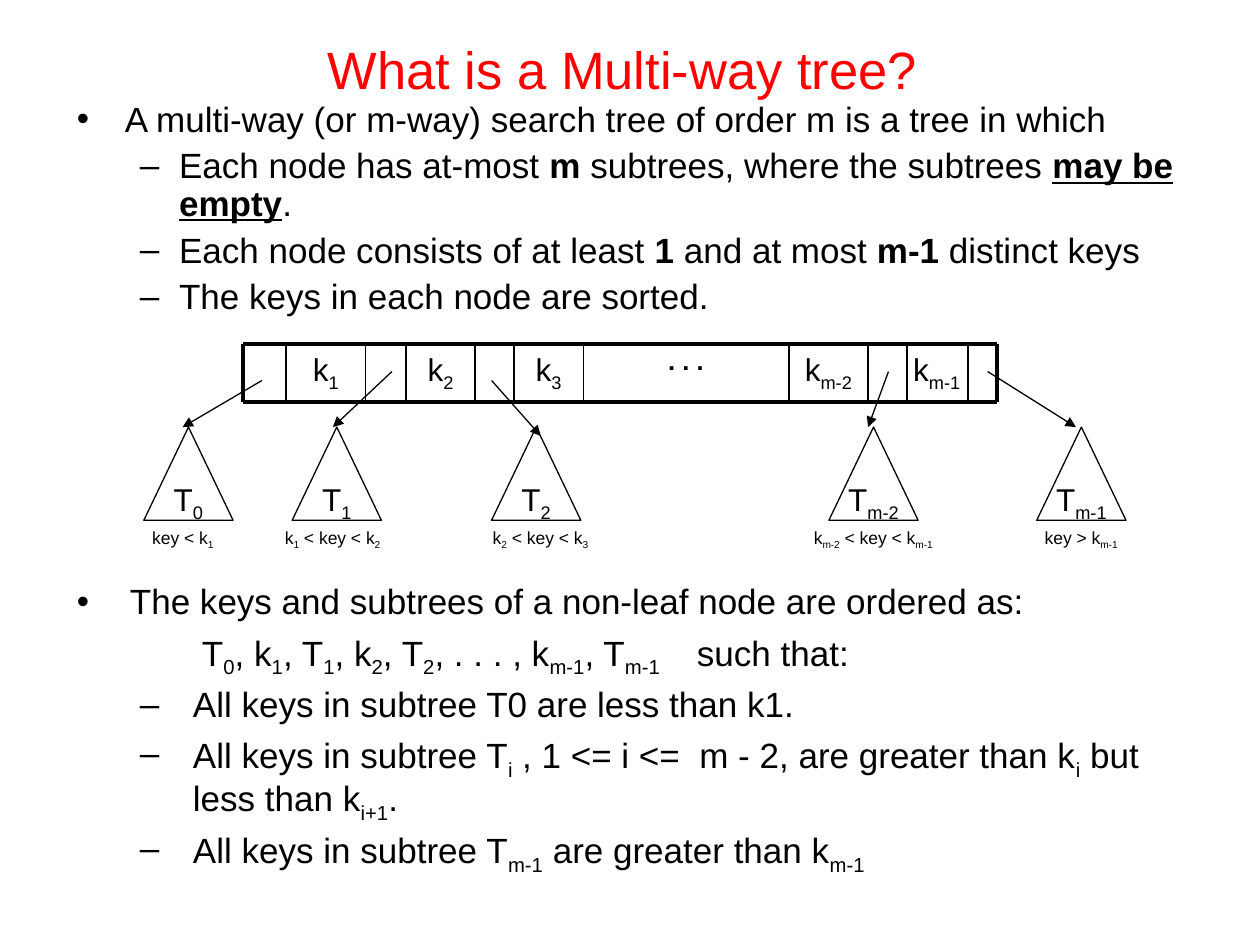
import lxml.etree
import pptx
import pptx.dml.color
import pptx.enum.shapes
import pptx.enum.text
import pptx.oxml.ns
import pptx.util

Cm = pptx.util.Cm
Pt = pptx.util.Pt
BLACK = pptx.dml.color.RGBColor(0, 0, 0)
RED = pptx.dml.color.RGBColor(255, 0, 0)
ALIGN = pptx.enum.text.PP_ALIGN
ANCHOR = pptx.enum.text.MSO_ANCHOR
SHAPE = pptx.enum.shapes.MSO_SHAPE
LINE = pptx.enum.shapes.MSO_CONNECTOR.STRAIGHT


def add(parent, tag, **attrs):
    return lxml.etree.SubElement(parent, pptx.oxml.ns.qn(tag), **attrs)


class Painter:
    def __init__(self, slide, face="Arial"):
        self.slide = slide
        self.face = face

    def runs(self, para, text, size, color=BLACK, lift=0):
        for piece in text.split("|"):
            mark = piece[0] if piece[0] in "_*!" else ""
            run = para.add_run()
            run.text = piece[len(mark):]
            font = run.font
            font.name, font.size = self.face, Pt(size)
            font.color.rgb = color
            if mark in ("*", "!"):
                font.bold = True
            if mark == "!":
                font.underline = True
            base = -25 if mark == "_" else lift
            if base:
                run._r.get_or_add_rPr().set("baseline", str(base * 1000))

    def box(self, left, top, width, height):
        shape = self.slide.shapes.add_textbox(Cm(left), Cm(top), Cm(width), Cm(height))
        shape.text_frame.word_wrap = True
        return shape.text_frame

    def label(self, left, top, width, height, text, size, color=BLACK, lift=0):
        frame = self.box(left, top, width, height)
        para = frame.paragraphs[0]
        para.alignment = ALIGN.CENTER
        self.runs(para, text, size, color, lift)
        return frame

    def points(self, left, top, width, height, rows):
        frame = self.box(left, top, width, height)
        for row, (sign, margin, hang, text) in enumerate(rows):
            para = frame.add_paragraph() if row else frame.paragraphs[0]
            props = para._p.get_or_add_pPr()
            props.set("marL", str(Cm(margin)))
            props.set("indent", str(-Cm(hang)))
            if sign:
                add(props, "a:buFont", typeface=self.face)
                add(props, "a:buChar", char=sign)
                para.line_spacing = 0.9
            else:
                add(props, "a:buNone")
                tabs = add(props, "a:tabLst")
                for stop in range(8):
                    add(tabs, "a:tab", pos=str(Cm(2.54 * stop)), algn="l")
            if row:
                para.space_before = Pt(5)
            self.runs(para, text, 20)

    def line(self, start, end, weight, arrow=False):
        link = self.slide.shapes.add_connector(LINE, *map(Cm, start + end))
        link.line.color.rgb = BLACK
        link.line.width = Pt(weight)
        if arrow:
            add(link.line._get_or_add_ln(), "a:tailEnd", type="triangle")
        add(link._element.spPr, "a:effectLst")

    def tree(self, left, top, text):
        shape = self.slide.shapes.add_shape(
            SHAPE.FLOWCHART_EXTRACT, Cm(left), Cm(top), Cm(1.8), Cm(1.88))
        shape.shadow.inherit = False
        shape.fill.background()
        shape.line.color.rgb = BLACK
        shape.line.width = Pt(0.75)
        frame = shape.text_frame
        frame.word_wrap = False
        frame.vertical_anchor = ANCHOR.TOP
        para = frame.paragraphs[0]
        para.alignment = ALIGN.CENTER
        self.runs(para, text, 18)


def main():
    deck = pptx.Presentation()
    deck.slide_width, deck.slide_height = Cm(25.4), Cm(19.05)
    pen = Painter(deck.slides.add_slide(deck.slide_layouts[6]))

    title = pen.label(1.27, 0.43, 22.86, 1.9, "What is a Multi-way tree? ", 30, RED)
    title.vertical_anchor = ANCHOR.MIDDLE

    dash = ("–", 2.06, 0.79)
    pen.points(1.3, 1.93, 22.86, 4.8, [
        ("•", 0.97, 0.97, "A multi-way (or m-way) search tree of order m is a tree in which"),
        (*dash, "Each node has at-most |*m| subtrees, where the subtrees |!may be empty|."),
        (*dash, "Each node consists of at least |*1| and at most |*m-1| distinct keys"),
        (*dash, "The keys in each node are sorted."),
    ])

    dash = ("–", 2.34, 1.07)
    pen.points(1.3, 11.66, 22.86, 7.39, [
        ("•", 1.07, 1.07, "The keys and subtrees of a non-leaf node are ordered as:"),
        ("", 1.07, 1.07, "\t\t T|_0|, k|_1|, T|_1|, k|_2|, T|_2|, . . . , k|_m-1|, T|_m-1\t|such that:"),
        (*dash, "All keys in subtree T0 are less than k1."),
        (*dash, "All keys in subtree T|_i| , 1 <= i <=  m - 2, are greater than k|_i"
                "| but less than k|_i+1|."),
        (*dash, "All keys in subtree T|_m-1| are greater than k|_m-1"),
    ])

    top, low = 6.93, 8.1
    edges = [4.9, 5.77, 7.37, 8.18, 9.58, 10.36, 11.76, 15.9, 17.5, 18.29, 19.51, 20.09]
    for cell, key in [(1, "k|_1"), (3, "k|_2"), (5, "k|_3"), (7, "k|_m-2")]:
        left = edges[cell]
        pen.label(left, top, edges[cell + 1] - left, 1.18, key, 18)
    pen.label(18.11, top, 1.55, 1.12, "k|_m-1", 18)
    dots = pen.label(edges[6], top, edges[7] - edges[6], 1.18, "*. . .", 25.2, lift=30)
    dots.paragraphs[0].line_spacing = 0.8

    for level in (top, low):
        pen.line((edges[0], level), (edges[-1], level), 2.25)
    for edge in edges:
        pen.line((edge, top), (edge, low), 2.25 if edge in (edges[0], edges[-1]) else 1)

    trees = [
        (2.9, "T|_0", (5.28, 7.67), (3.68, 8.61), 2.29, 2.79, "key < k|_1"),
        (5.89, "T|_1", (7.9, 7.49), (6.71, 8.61), 5.31, 2.79, "k|_1| < key < k|_2"),
        (9.91, "T|_2", (9.91, 7.67), (10.9, 8.79), 9.5, 2.79, "k|_2| < key < k|_3"),
        (16.71, "T|_m-2", (17.91, 7.49), (17.5, 8.61), 15.7, 3.81, "k|_m-2| < key < k|_m-1"),
        (20.9, "T|_m-1", (19.91, 7.49), (21.69, 8.61), 20.5, 2.59, "key > k|_m-1"),
    ]
    for left, name, start, end, side, width, rule in trees:
        pen.tree(left, 8.61, name)
        pen.line(start, end, 0.75, arrow=True)
        pen.label(side, 10.49, width, 0.74, rule, 10)

    deck.save("out.pptx")


if __name__ == "__main__":
    main()
